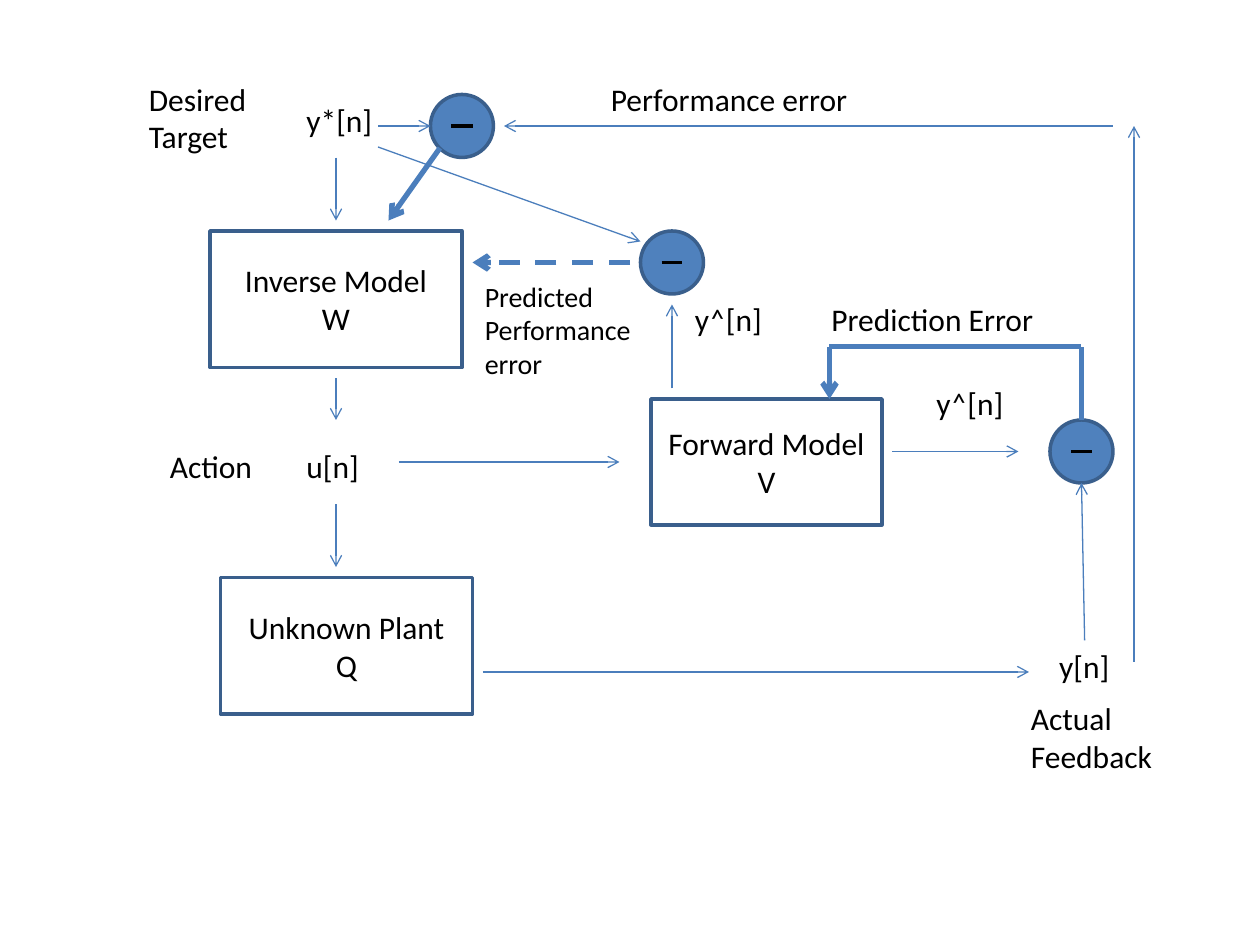
from dataclasses import dataclass

from lxml.etree import SubElement
from pptx import Presentation
from pptx.dml.color import RGBColor
from pptx.enum.dml import MSO_LINE as Dash
from pptx.enum.shapes import MSO_CONNECTOR as Connector, MSO_SHAPE as Shape
from pptx.enum.text import MSO_ANCHOR as Anchor, MSO_AUTO_SIZE as AutoSize, PP_ALIGN as Align
from pptx.oxml.ns import qn
from pptx.slide import Slide
from pptx.util import Inches, Pt

COLUMNS, ROWS = 120, 90
WIDTH, HEIGHT = Inches(10), Inches(7.5)
INK, PAPER, DISC = "000000", "FFFFFF", "4F81BD"
OUTLINE, SIGNAL = "3A5F8C", "4B7EBC"
THIN, THICK = 0.75, 3


def rgb(code):
    """Turn a hex string into a colour."""
    return RGBColor.from_string(code)


def write(frame, lines, size, align):
    """Put one paragraph per line into a text frame."""
    frame.text = "\n".join(lines)
    for paragraph in frame.paragraphs:
        paragraph.alignment = align
        paragraph.font.name = "Calibri"
        paragraph.font.size = Pt(size)
        paragraph.font.color.rgb = rgb(INK)


def outlined(shapes, kind, box, fill):
    """Add a filled shape with the diagram's dark outline."""
    shape = shapes.add_shape(kind, *box)
    shape.shadow.inherit = False
    shape.fill.solid()
    shape.fill.fore_color.rgb = rgb(fill)
    shape.line.color.rgb = rgb(OUTLINE)
    shape.line.width = Pt(2)
    return shape


def stroke(shapes, start, end, color, weight):
    """Add a straight line without a shadow."""
    line = shapes.add_connector(Connector.STRAIGHT, *start, *end)
    line.line.color.rgb = rgb(color)
    line.line.width = Pt(weight)
    SubElement(line._element.spPr, qn("a:effectLst"))
    return line


@dataclass
class Region:
    """A part of the slide whose contents are placed from its corner."""

    slide: Slide
    left: float
    top: float

    def point(self, column, row):
        """Turn a grid position inside the region into slide lengths."""
        return (round(WIDTH * (self.left + column) / COLUMNS),
                round(HEIGHT * (self.top + row) / ROWS))

    def box(self, column, row, columns, rows):
        """Turn a grid box inside the region into slide lengths."""
        return (*self.point(column, row),
                round(WIDTH * columns / COLUMNS), round(HEIGHT * rows / ROWS))

    def block(self, box, *lines):
        """Draw a model box with centred text."""
        block = outlined(self.slide.shapes, Shape.RECTANGLE, self.box(*box), PAPER)
        block.text_frame.vertical_anchor = Anchor.MIDDLE
        write(block.text_frame, lines, 18, Align.CENTER)

    def label(self, column, row, columns, *lines, size=18, wrap=False):
        """Write a label whose height follows from its lines."""
        rows = 1.2 + 3.6 * len(lines) * size / 18
        label = self.slide.shapes.add_textbox(*self.box(column, row, columns, rows))
        write(label.text_frame, lines, size, Align.LEFT)
        label.text_frame.word_wrap = wrap
        label.text_frame.auto_size = AutoSize.SHAPE_TO_FIT_TEXT

    def comparator(self, column, row):
        """Draw a disc with a minus sign."""
        parts = self.slide.shapes.add_group_shape().shapes
        outlined(parts, Shape.OVAL, self.box(column, row, 6, 6), DISC)
        stroke(parts, self.point(column + 2, row + 3),
               self.point(column + 4, row + 3), INK, 2.25)

    def signal(self, *stops, weight=THIN, dash=None):
        """Draw a signal through the stops, with an arrowhead on the last leg."""
        for start, end in zip(stops, stops[1:]):
            leg = stroke(self.slide.shapes, self.point(*start),
                         self.point(*end), SIGNAL, weight)
            if dash:
                leg.line.dash_style = dash
        SubElement(leg.line._get_or_add_ln(), qn("a:tailEnd"), type="arrow")


def control_chain(region):
    """Lead from the desired target through the inverse model to the plant."""
    region.label(0, 0, 12.5, "Desired", "Target")
    region.label(15, 2, 8.9, "y*[n]")
    region.block((7, 15, 24, 13), "Inverse Model", "W")
    region.label(2, 35, 10.3, "Action")
    region.label(15, 35, 7.4, "u[n]")
    region.block((8, 48, 24, 13), "Unknown Plant", "Q")
    for start, end in ((8, 14), (29, 33), (41, 47)):
        region.signal((19, start), (19, end))


def forward_prediction(region):
    """Compare the forward model's output with the feedback."""
    region.signal((0, 16), (21, 16))
    region.block((24, 10, 22, 12), "Forward Model", "V")
    region.signal((47, 15), (59, 15))
    region.label(50, 8, 8.9, "y˄[n]")
    region.comparator(62, 12)
    region.signal((65, 12), (65, 5), (41, 5), (41, 10), weight=THICK)
    region.label(40, 0, 27, "Prediction Error", wrap=True)


def predicted_performance(region):
    """Compare the target with the predicted output."""
    region.comparator(25, 8)
    region.signal((0, 0), (25, 9))
    region.signal((24, 11), (9, 11), weight=THICK, dash=Dash.DASH)
    region.label(9, 12, 19, "Predicted", "Performance", "error", size=16, wrap=True)
    region.signal((28, 23), (28, 15))
    region.label(29, 14, 8.9, "y˄[n]")


def actual_performance(region):
    """Compare the target with the actual feedback."""
    region.comparator(5, 2)
    region.signal((70, 5), (12, 5))
    region.signal((0, 5), (5, 5))
    region.signal((5.9, 7.1), (1, 14), weight=THICK)
    region.label(21, 0, 25.2, "Performance error")


def plant_feedback(region):
    """Carry the plant's output back to the comparators."""
    region.signal((0, 52), (52, 52))
    region.signal((57.3, 49), (57, 34))
    region.label(53.7, 49, 7.2, "y[n]")
    region.label(51, 54, 14, "Actual", "Feedback")
    region.signal((62, 51), (62, 0))


def main():
    """Build and save the control diagram."""
    deck = Presentation()
    deck.slide_width, deck.slide_height = WIDTH, HEIGHT
    slide = deck.slides.add_slide(deck.slide_layouts[6])
    control_chain(Region(slide, 13, 7))
    forward_prediction(Region(slide, 38, 28))
    predicted_performance(Region(slide, 36, 14))
    actual_performance(Region(slide, 36, 7))
    plant_feedback(Region(slide, 46, 12))
    deck.save("out.pptx")


if __name__ == "__main__":
    main()
